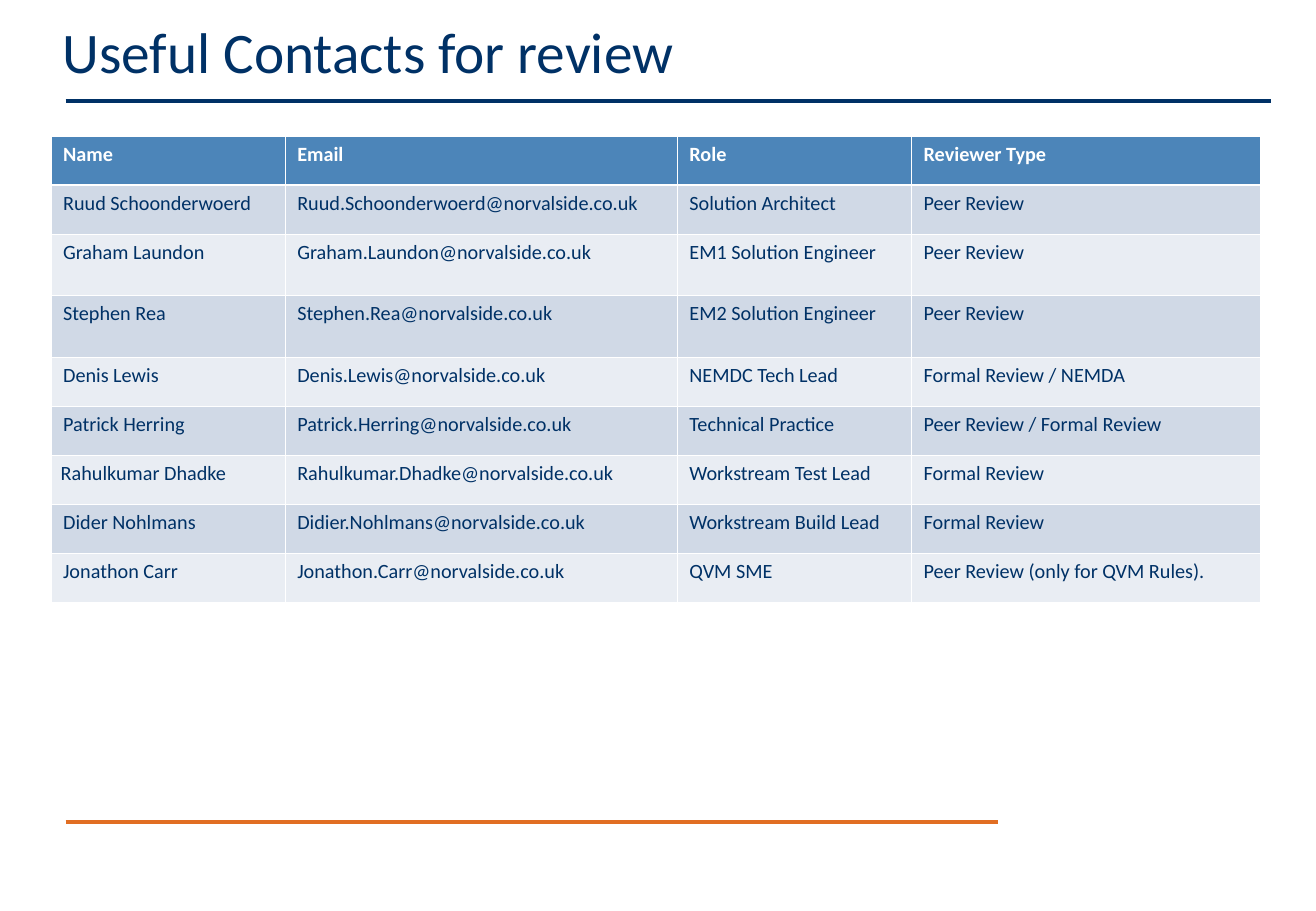
from dataclasses import dataclass

from lxml.etree import SubElement
from pptx import Presentation
from pptx.dml.color import RGBColor
from pptx.enum.shapes import MSO_CONNECTOR as Connector
from pptx.enum.text import MSO_ANCHOR as Anchor
from pptx.oxml.ns import qn
from pptx.slide import Slide
from pptx.table import _Cell as Cell
from pptx.text.text import Font
from pptx.util import Emu, Inches, Pt

NAVY = RGBColor(0x00, 0x31, 0x66)
ORANGE = RGBColor(0xE1, 0x6E, 0x23)
BLUE = RGBColor(0x4C, 0x85, 0xB9)
DARK_BAND = RGBColor(0xD0, 0xD9, 0xE6)
LIGHT_BAND = RGBColor(0xE9, 0xED, 0xF3)
WHITE = RGBColor(0xFF, 0xFF, 0xFF)

PAGE_WIDTH, PAGE_HEIGHT = Inches(10.84), Inches(7.5)
DOMAIN = "@norvalside.co.uk"
THIN, THICK = Pt(0.45), Pt(1.47)

# Table grid: columns in percent of the page width, rows in equal units
TABLE_LEFT, TABLE_TOP, TABLE_HEIGHT = 3.87, 14.93, 51.2
COLUMNS = (17.8, 29.8, 17.8, 26.5)
HEADINGS = ("Name", "Email", "Role", "Reviewer Type")


@dataclass(frozen=True)
class Rule:
    left: float
    right: float
    y: float
    color: RGBColor


@dataclass(frozen=True)
class Contact:
    name: str
    mailbox: str
    role: str
    review: str
    units: int = 4
    name_inset: float = 0.1


RULES = (
    Rule(4.98, 75.83, 90.27, ORANGE),
    Rule(4.98, 96.59, 11.07, NAVY),
)

CONTACTS = (
    Contact("Ruud Schoonderwoerd", "Ruud.Schoonderwoerd", "Solution Architect", "Peer Review"),
    Contact("Graham Laundon", "Graham.Laundon", "EM1 Solution Engineer", "Peer Review", units=5),
    Contact("Stephen Rea", "Stephen.Rea", "EM2 Solution Engineer", "Peer Review", units=5),
    Contact("Denis Lewis", "Denis.Lewis", "NEMDC Tech Lead", "Formal Review / NEMDA"),
    Contact("Patrick Herring", "Patrick.Herring", "Technical Practice", "Peer Review / Formal Review"),
    Contact("Rahulkumar Dhadke", "Rahulkumar.Dhadke", "Workstream Test Lead", "Formal Review",
            name_inset=0.08),
    Contact("Dider Nohlmans", "Didier.Nohlmans", "Workstream Build Lead", "Formal Review"),
    Contact("Jonathon Carr", "Jonathon.Carr", "QVM SME", "Peer Review (only for QVM Rules)."),
)


def across(percent: float) -> Emu:
    return Emu(round(PAGE_WIDTH * percent / 100))


def down(percent: float) -> Emu:
    return Emu(round(PAGE_HEIGHT * percent / 100))


def style_font(font: Font, size: float, color: RGBColor, bold: bool = False) -> None:
    font.name = "Calibri"
    font.size = Pt(size)
    font.bold = bold
    font.color.rgb = color


def draw_rule(page: Slide, rule: Rule) -> None:
    line = page.shapes.add_connector(
        Connector.STRAIGHT, across(rule.left), down(rule.y), across(rule.right), down(rule.y))
    line.line.color.rgb = rule.color
    line.line.width = Pt(2.25)
    SubElement(line._element.spPr, qn("a:effectLst"))


def draw_title(page: Slide, title: str) -> None:
    box = page.shapes.add_textbox(across(3.87), down(1.07), across(91.88), down(12.13))
    frame = box.text_frame
    frame.word_wrap = True
    frame.vertical_anchor = Anchor.TOP
    frame.text = title
    style_font(frame.paragraphs[0].runs[0].font, 34, NAVY)


def set_borders(cell: Cell, top: Emu, bottom: Emu) -> None:
    properties = cell._tc.get_or_add_tcPr()
    for side, width in (("L", THIN), ("R", THIN), ("T", top), ("B", bottom)):
        border = SubElement(properties, qn(f"a:ln{side}"), w=str(int(width)))
        fill = SubElement(border, qn("a:solidFill"))
        SubElement(fill, qn("a:srgbClr"), val=str(WHITE))


def fill_row(cells: list[Cell], texts: tuple[str, ...], index: int) -> None:
    header = index == 0
    band = BLUE if header else DARK_BAND if index % 2 else LIGHT_BAND
    for cell, text in zip(cells, texts):
        set_borders(cell, THICK if index == 1 else THIN, THICK if header else THIN)
        cell.fill.solid()
        cell.fill.fore_color.rgb = band
        cell.text_frame.text = text
        span = cell.text_frame.paragraphs[0].runs[0]
        style_font(span.font, 12, WHITE if header else NAVY, header)


def draw_contacts(page: Slide) -> None:
    units = [4] + [contact.units for contact in CONTACTS]
    table = page.shapes.add_table(
        len(units), len(COLUMNS), across(TABLE_LEFT), down(TABLE_TOP),
        across(sum(COLUMNS)), down(TABLE_HEIGHT)).table
    for column, width in zip(table.columns, COLUMNS):
        column.width = across(width)
    for row, count in zip(table.rows, units):
        row.height = down(TABLE_HEIGHT * count / sum(units))

    fill_row(list(table.rows[0].cells), HEADINGS, 0)
    for index, contact in enumerate(CONTACTS, start=1):
        cells = list(table.rows[index].cells)
        email = contact.mailbox + DOMAIN
        fill_row(cells, (contact.name, email, contact.role, contact.review), index)
        cells[0].margin_left = cells[0].margin_right = Inches(contact.name_inset)


def main() -> None:
    deck = Presentation()
    deck.slide_width, deck.slide_height = PAGE_WIDTH, PAGE_HEIGHT
    page = deck.slides.add_slide(deck.slide_layouts[6])

    # Rules above and below the content
    for rule in RULES:
        draw_rule(page, rule)

    # Title and contact table
    draw_title(page, "Useful Contacts for review")
    draw_contacts(page)

    deck.save("out.pptx")


if __name__ == "__main__":
    main()
